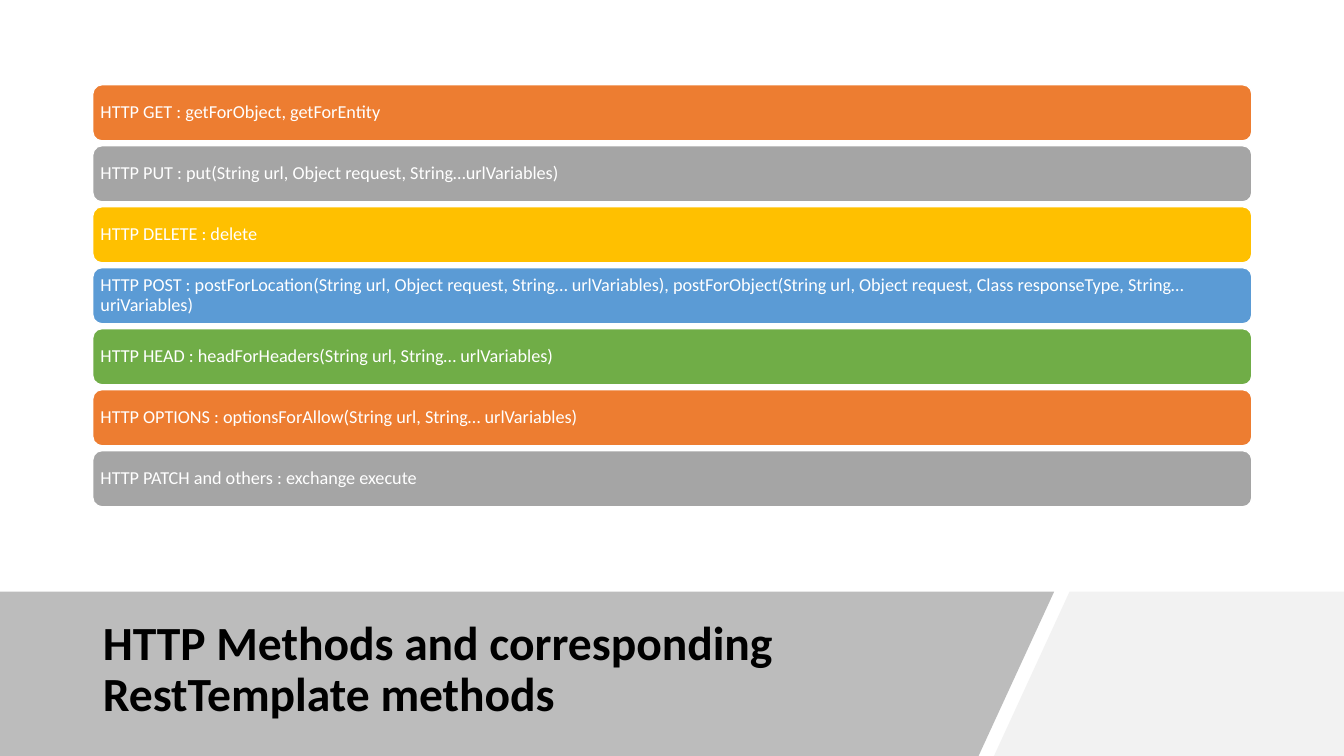
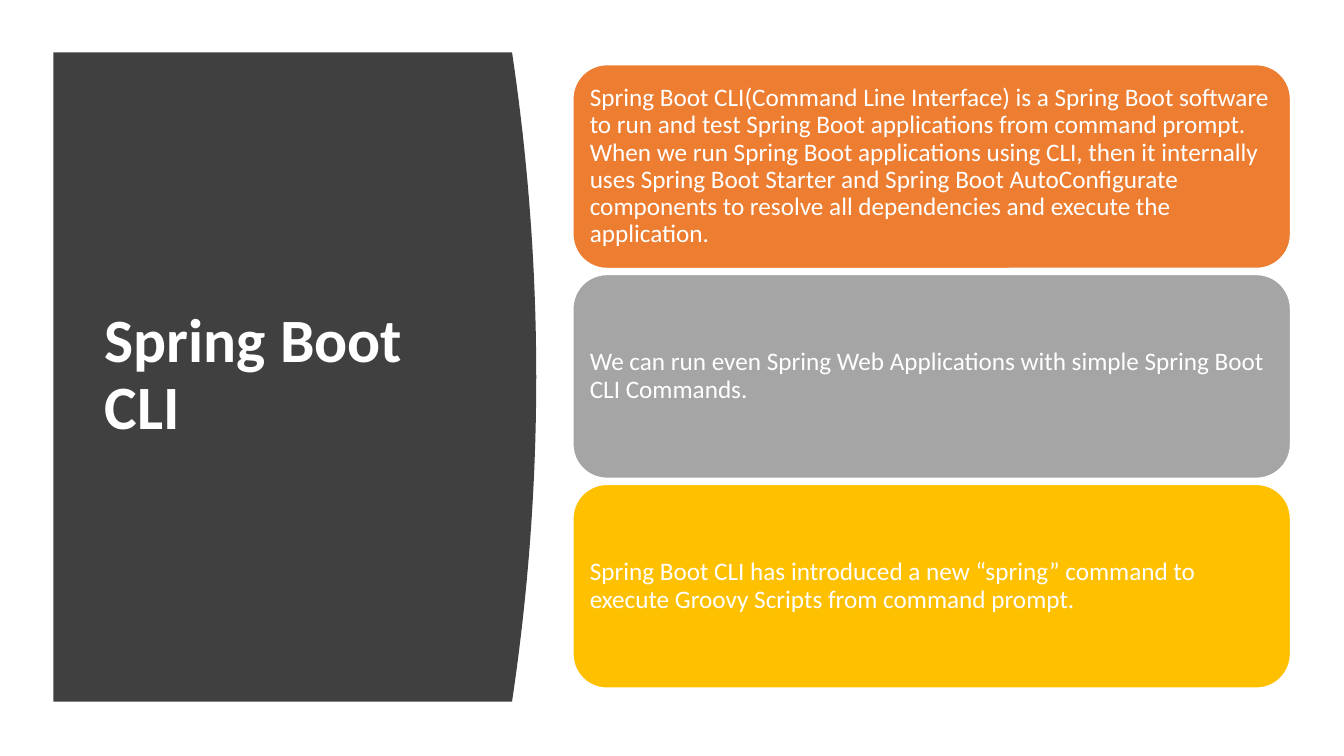
"""Build two slides on REST template methods and a command line interface."""
import lxml.etree
import pptx
import pptx.dml.color
import pptx.enum.shapes
import pptx.enum.text
import pptx.oxml.ns
import pptx.util

Pt = pptx.util.Pt
FONT = "Calibri"
WIDTH, HEIGHT = 960, 540
TITLE_ONLY = 5
COLORS = {
    "orange": "ED7D31", "gray": "A5A5A5", "gold": "FFC000",
    "blue": "5B9BD5", "green": "70AD47", "white": "FFFFFF",
    "black": "000000", "pale": "F2F2F2", "band": "595959", "dark": "404040",
}
CARD_CYCLE = ["orange", "gray", "gold", "blue", "green"]
METHODS = [
    "HTTP GET : getForObject, getForEntity",
    "HTTP PUT : put(String url, Object request, String…urlVariables)",
    "HTTP DELETE : delete",
    "HTTP POST : postForLocation(String url, Object request, String… urlVariables), "
    "postForObject(String url, Object request, Class responseType, String… uriVariables)",
    "HTTP HEAD : headForHeaders(String url, String… urlVariables)",
    "HTTP OPTIONS : optionsForAllow(String url, String… urlVariables)",
    "HTTP PATCH and others : exchange execute",
]
CLI_POINTS = [
    "Spring Boot CLI(Command Line Interface) is a Spring Boot software to run and test "
    "Spring Boot applications from command prompt. When we run Spring Boot applications "
    "using CLI, then it internally uses Spring Boot Starter and Spring Boot AutoConfigurate "
    "components to resolve all dependencies and execute the application.",
    "We can run even Spring Web Applications with simple Spring Boot CLI Commands.",
    "Spring Boot CLI has introduced a new “spring” command to execute Groovy Scripts "
    "from command prompt.",
]


def rgb(name):
    return pptx.dml.color.RGBColor.from_string(COLORS[name])


def paint(sp, color):
    sp.shadow.inherit = False
    sp.fill.solid()
    sp.fill.fore_color.rgb = rgb(color)


def write(sp, text, size, color, bold=False):
    tf = sp.text_frame
    tf.text = text
    tf.word_wrap = True
    tf.vertical_anchor = pptx.enum.text.MSO_ANCHOR.MIDDLE
    p = tf.paragraphs[0]
    p.alignment = pptx.enum.text.PP_ALIGN.LEFT
    p.line_spacing = 0.9
    p.font.name, p.font.size, p.font.bold = FONT, Pt(size), bold
    p.font.color.rgb = rgb(color)


def add_title_slide(prs, text, box, size, color):
    s = prs.slides.add_slide(prs.slide_layouts[TITLE_ONLY])
    title = s.shapes.title
    title.left, title.top, title.width, title.height = map(Pt, box)
    write(title, text, size, color, bold=True)
    title.text_frame.auto_size = pptx.enum.text.MSO_AUTO_SIZE.NONE
    return s


def add_backdrop(s, points, color, opacity=None):
    start, *rest = [(Pt(x), Pt(y)) for x, y in points]
    builder = s.shapes.build_freeform(*start)
    builder.add_line_segments(rest, close=True)
    sp = builder.convert_to_shape()
    paint(sp, color)
    sp.line.fill.background()
    if opacity is not None:
        qn = pptx.oxml.ns.qn
        clr = sp.element.spPr.find(qn("a:solidFill")).find(qn("a:srgbClr"))
        lxml.etree.SubElement(clr, qn("a:alpha")).set("val", str(opacity * 1000))
    s.shapes.title.element.addprevious(sp.element)


def add_cards(s, texts, left, top, width, height, pitch, size, inset):
    for i, text in enumerate(texts):
        sp = s.shapes.add_shape(
            pptx.enum.shapes.MSO_SHAPE.ROUNDED_RECTANGLE,
            Pt(left), Pt(top + i * pitch), Pt(width), Pt(height))
        paint(sp, CARD_CYCLE[i % len(CARD_CYCLE)])
        sp.line.color.rgb = rgb("white")
        sp.line.width = Pt(1)
        write(sp, text, size, "white")
        tf = sp.text_frame
        tf.margin_left = tf.margin_right = tf.margin_top = tf.margin_bottom = Pt(inset)


def methods_slide(prs):
    s = add_title_slide(prs, "HTTP Methods and corresponding RestTemplate methods",
                        (66.24, 435.6, 635.76, 86.4), 34, "black")
    top = 422.64
    add_backdrop(s, [(764, top), (WIDTH, top), (WIDTH, HEIGHT), (710, HEIGHT)], "pale")
    add_backdrop(s, [(0, top), (753, top), (699, HEIGHT), (0, HEIGHT)], "band", opacity=40)
    add_cards(s, METHODS, left=66.24, top=60.5, width=828, height=40.2,
              pitch=43.56, size=13, inset=3.6)


def cli_slide(prs):
    s = add_title_slide(prs, "Spring Boot CLI", (67.68, 79.92, 269.28, 377.28), 44, "white")
    left, right, top, height, bulge, steps = 38.16, 365.76, 37.44, 463.68, 17.28, 40
    curve = [(right + bulge * (1 - (2 * i / steps - 1) ** 2), top + height * i / steps)
             for i in range(steps + 1)]
    add_backdrop(s, [(left, top), *curve, (left, top + height)], "dark")
    add_cards(s, CLI_POINTS, left=409.2, top=46.2, width=512.6, height=145.6,
              pitch=149.9, size=18, inset=5)


def main():
    prs = pptx.Presentation()
    prs.slide_width, prs.slide_height = Pt(WIDTH), Pt(HEIGHT)
    methods_slide(prs)
    cli_slide(prs)
    prs.save("out.pptx")


main()
